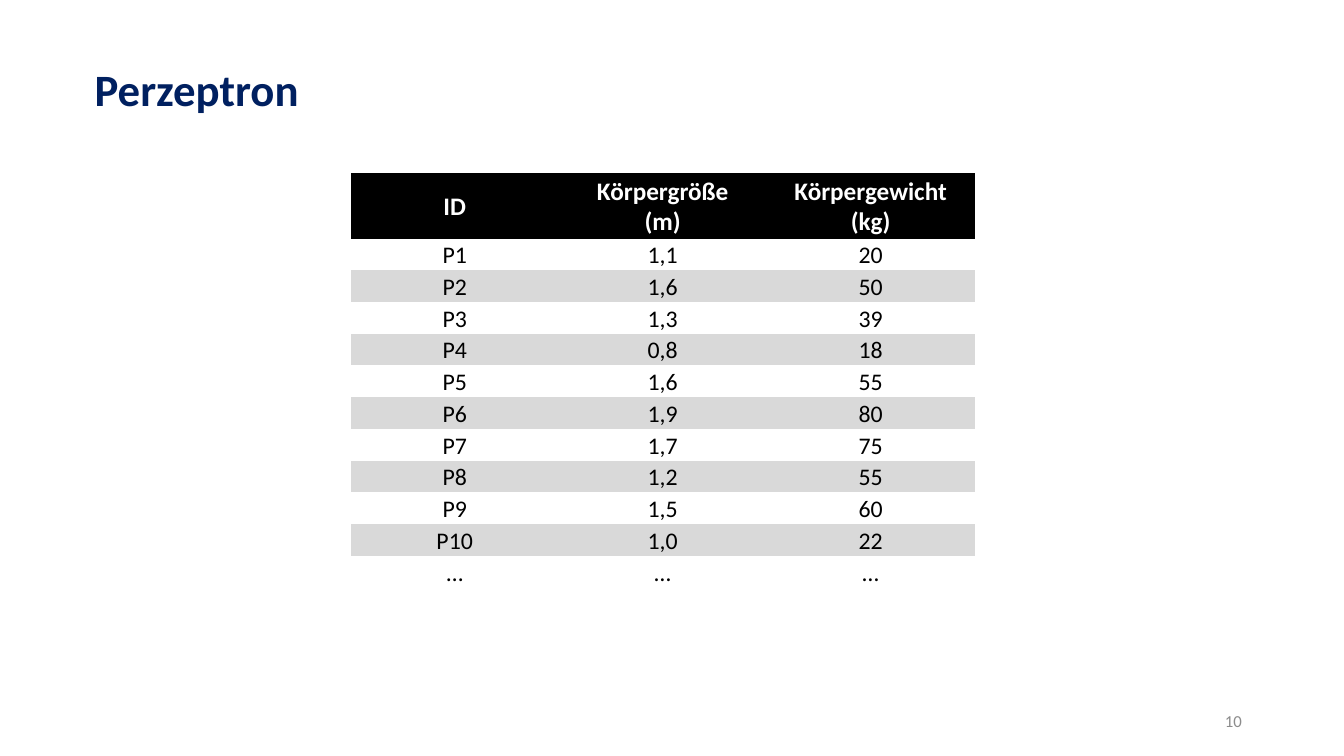
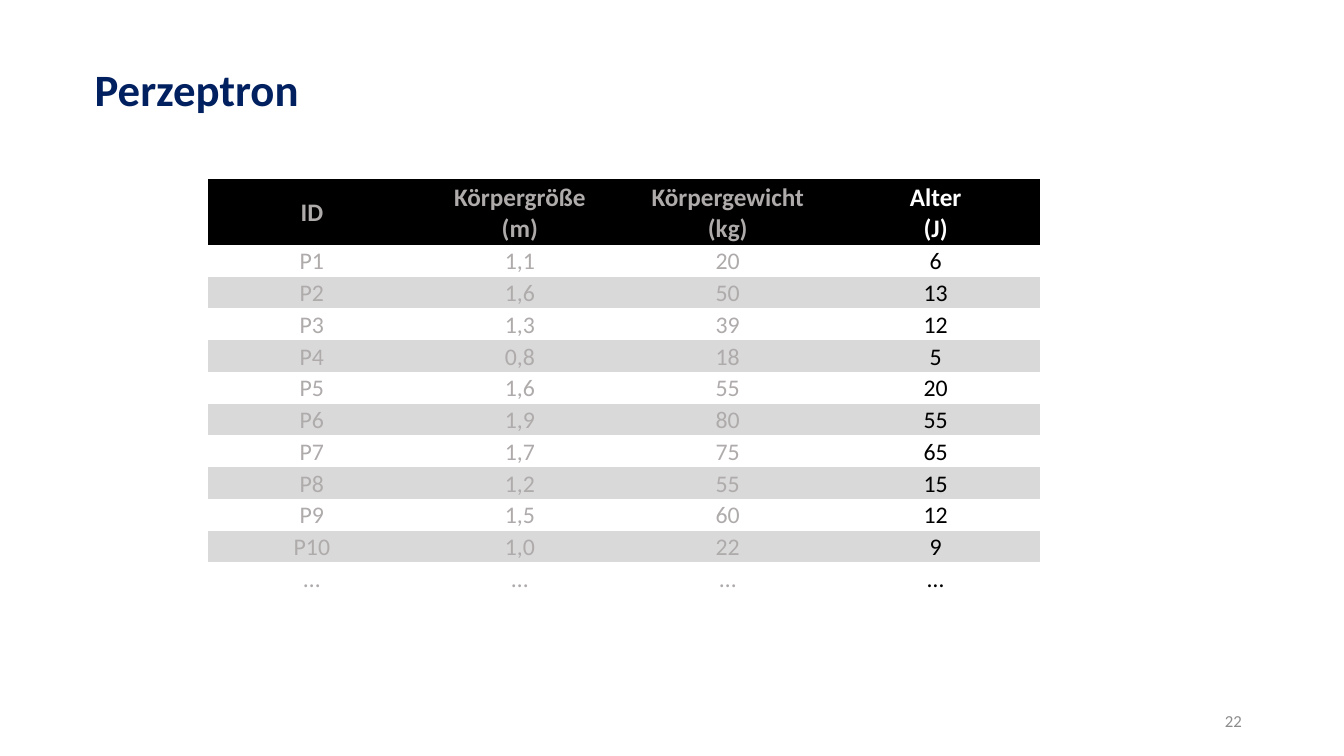
"""Build two slides that show the perceptron training data, first without and then with age."""
from pptx import Presentation
from pptx import util as u
from pptx.dml import color
from pptx.enum import text as t

COLOURS = {
    "title": "002060",
    "number": "8C8C8C",
    "header": "000000",
    "band": "D9D9D9",
    "light": "FFFFFF",
    "dark": "000000",
    "muted": "AFABAB",
}
NO_STYLE = "{2D5ABB26-0587-4C30-8999-92F81FD0307C}"

PEOPLE = [
    ("ID", "Körpergröße\n(m)", "Körpergewicht\n(kg)"),
    ("P1", "1,1", "20"),
    ("P2", "1,6", "50"),
    ("P3", "1,3", "39"),
    ("P4", "0,8", "18"),
    ("P5", "1,6", "55"),
    ("P6", "1,9", "80"),
    ("P7", "1,7", "75"),
    ("P8", "1,2", "55"),
    ("P9", "1,5", "60"),
    ("P10", "1,0", "22"),
    ("…", "…", "…"),
]
AGES = ["Alter\n(J)", "6", "13", "12", "5", "20", "55", "65", "15", "12", "9", "…"]


def write(frame, content, *, size, colour, bold=False, align=t.PP_ALIGN.LEFT):
    frame.text = content
    for para in frame.paragraphs:
        para.alignment = align
        for span in para.runs:
            span.font.name = "Calibri"
            span.font.size = u.Pt(size)
            span.font.bold = bold
            span.font.color.rgb = color.RGBColor.from_string(COLOURS[colour])


class Deck:
    column_width = u.Cm(5.24)
    header_height = u.Cm(1.65)
    row_height = u.Cm(0.8)

    def __init__(self):
        self.deck = Presentation()
        self.deck.slide_width = u.Cm(33.87)
        self.deck.slide_height = u.Cm(19.05)
        self.page = None

    def add_page(self, title, number):
        self.page = self.deck.slides.add_slide(self.deck.slide_layouts.get_by_name("Title Only"))
        self.add_title(title)
        self.add_number(number)

    def add_title(self, content):
        box = self.page.shapes.title
        box.left, box.top, box.width, box.height = u.Cm(2.13), u.Cm(1.42), u.Cm(10.49), u.Cm(1.63)
        frame = box.text_frame
        frame.vertical_anchor = t.MSO_ANCHOR.TOP
        frame.auto_size = t.MSO_AUTO_SIZE.SHAPE_TO_FIT_TEXT
        write(frame, content, size=32, colour="title", bold=True)

    def add_number(self, number):
        box = self.page.shapes.add_textbox(u.Cm(23.93), u.Cm(17.65), u.Cm(7.62), u.Cm(1.01))
        frame = box.text_frame
        frame.word_wrap = True
        frame.vertical_anchor = t.MSO_ANCHOR.MIDDLE
        write(frame, str(number), size=12, colour="number", align=t.PP_ALIGN.RIGHT)

    def add_table(self, rows, left, top, muted_columns=0):
        columns = len(rows[0])
        height = self.header_height + self.row_height * (len(rows) - 1)
        holder = self.page.shapes.add_table(
            len(rows), columns, left, top, self.column_width * columns, height)
        table = holder.table
        table.horz_banding = False
        for style in holder.element.iter("{*}tableStyleId"):
            style.text = NO_STYLE
        for column in table.columns:
            column.width = self.column_width
        for r, values in enumerate(rows):
            table.rows[r].height = self.row_height if r else self.header_height
            for c, value in enumerate(values):
                self.fill_cell(table.cell(r, c), value, r, c < muted_columns)

    def fill_cell(self, cell, value, row, muted):
        is_header = row == 0
        cell.margin_left = cell.margin_right = cell.margin_top = u.Cm(0.05)
        cell.margin_bottom = 0
        cell.vertical_anchor = t.MSO_ANCHOR.MIDDLE
        if row % 2:
            cell.fill.background()
        else:
            cell.fill.solid()
            shade = COLOURS["header" if is_header else "band"]
            cell.fill.fore_color.rgb = color.RGBColor.from_string(shade)
        colour = "muted" if muted else "light" if is_header else "dark"
        write(cell.text_frame, value, size=18 if is_header else 17, colour=colour,
              bold=is_header, align=t.PP_ALIGN.CENTER)

    def save(self):
        self.deck.save("out.pptx")


def main():
    deck = Deck()
    deck.add_page("Perzeptron", 10)
    deck.add_table(PEOPLE, u.Cm(8.84), u.Cm(4.36))
    deck.add_page("Perzeptron", 22)
    with_age = [(*person, age) for person, age in zip(PEOPLE, AGES)]
    deck.add_table(with_age, u.Cm(5.24), u.Cm(4.52), muted_columns=3)
    deck.save()


if __name__ == "__main__":
    main()
